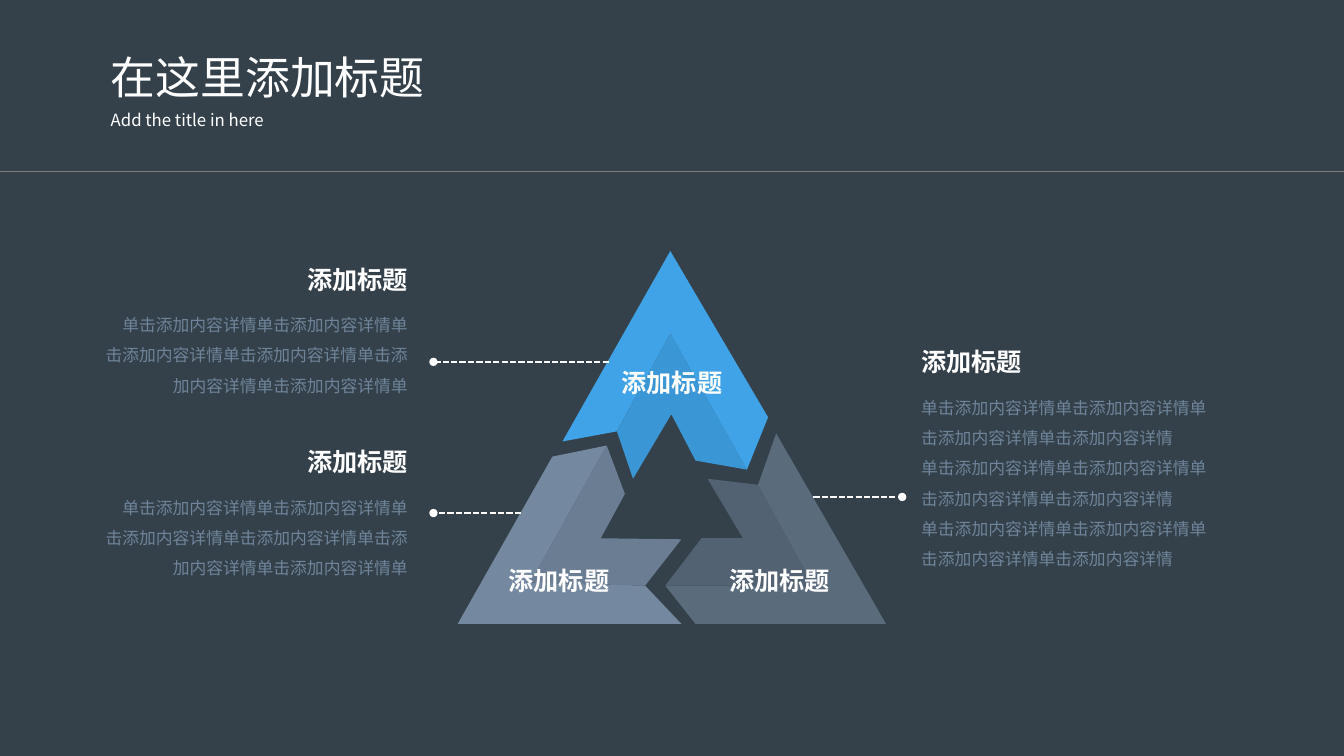
from dataclasses import dataclass

from pptx import Presentation
from pptx import util as u
from pptx.dml import color as dml
from pptx.enum import dml as dash
from pptx.enum import shapes, text
from pptx.oxml import ns, xmlchemy as xml

CELL = u.Inches(0.1)
COLS, ROWS = 133.33, 75
FONT = "Noto Sans CJK SC"
HEX = {"back": "34414A", "white": "FFFFFF", "rule": "808080", "body": "6F849A",
       "blue": "40A3E7", "blue fold": "3A96D5", "steel": "7488A0",
       "steel fold": "6B7D93", "slate": "5A6B7B", "slate fold": "526272"}
LEFT, RIGHT, MID = text.PP_ALIGN.LEFT, text.PP_ALIGN.RIGHT, text.PP_ALIGN.CENTER
HEAD = "添加标题"
HEADW, HEADH, BODYW, LINEH = 17.7, 4.0, 32.2, 3.03


@dataclass
class Style:
    size: int
    tint: str = "white"
    bold: bool = False
    align: text.PP_ALIGN = LEFT
    space: float = 1.0


@dataclass
class Note:
    edge: float
    top: float
    align: text.PP_ALIGN
    rows: int
    words: str


@dataclass
class Face:
    tint: str
    points: list[tuple[float, float]]


@dataclass
class Lead:
    start: float
    end: float
    row: float


LONG = "单击添加内容详情单击添加内容详情单"
SHORT = "击添加内容详情单击添加内容详情"
SIDE = LONG + "\n" + SHORT + "单击添加内容详情单击添加内容详情单"
NOTES = [
    Note(90.4, 33.9, LEFT, 6, "\n".join([LONG, SHORT] * 3)),
    Note(41.45, 25.7, RIGHT, 3, SIDE),
    Note(41.45, 43.8, RIGHT, 3, SIDE),
]
FACES = [
    Face("blue", [(66.5, 24.9), (55.8, 43.8), (61.2, 42.8), (66.5, 33.1),
                  (74.1, 46.6), (76.2, 41.4)]),
    Face("blue fold", [(66.6, 41.1), (62.8, 47.5), (61.2, 42.8), (66.5, 33.1),
                       (74.1, 46.6), (69.0, 45.7)]),
    Face("steel", [(60.2, 44.2), (52.6, 57.8), (64.0, 58.1), (67.6, 61.9),
                   (45.4, 61.9), (54.8, 45.3)]),
    Face("steel fold", [(59.6, 53.4), (62.0, 49.0), (60.2, 44.2), (52.6, 57.8),
                        (64.0, 58.1), (67.6, 53.5)]),
    Face("slate fold", [(73.7, 53.4), (69.6, 53.4), (66.0, 58.1), (80.7, 58.1),
                        (75.2, 48.1), (70.2, 47.5)]),
    Face("slate", [(87.9, 61.9), (77.0, 43.0), (75.2, 48.1), (80.7, 58.1),
                   (66.0, 58.1), (69.0, 61.9)]),
]
LEADS = [Lead(80.7, 89.5, 49.3), Lead(60.4, 43.0, 35.9), Lead(51.7, 43.0, 50.9)]
LABELS = [(57.8, 35.9), (46.6, 55.6), (68.5, 55.6)]


def emu(cells: float) -> int:
    return round(cells * CELL)


def rgb(tint: str) -> dml.RGBColor:
    return dml.RGBColor.from_string(HEX[tint])


def write(box, words: str, style: Style) -> None:
    frame = box.text_frame
    frame.text = words
    frame.word_wrap = True
    frame.vertical_anchor = text.MSO_ANCHOR.TOP
    frame.auto_size = text.MSO_AUTO_SIZE.SHAPE_TO_FIT_TEXT
    for para in frame.paragraphs:
        para.alignment = style.align
        para.line_spacing = style.space
        for run in para.runs:
            font = run.font
            font.size = u.Pt(style.size)
            font.bold = style.bold
            font.color.rgb = rgb(style.tint)
            font.name = FONT
            east = xml.OxmlElement("a:ea")
            east.set("typeface", FONT)
            font._element.find(ns.qn("a:latin")).addnext(east)


def place(slide, x: float, y: float, w: float, h: float, words: str, style: Style) -> None:
    box = slide.shapes.add_textbox(emu(x), emu(y), emu(w), emu(h))
    write(box, words, style)


def draw(slide, lead: Lead, tint: str, width: float):
    line = slide.shapes.add_connector(shapes.MSO_CONNECTOR.STRAIGHT, emu(lead.start),
                                      emu(lead.row), emu(lead.end), emu(lead.row))
    line.line.color.rgb = rgb(tint)
    line.line.width = u.Pt(width)
    line._element.spPr.append(xml.OxmlElement("a:effectLst"))
    return line


def dot(slide, lead: Lead) -> None:
    line = draw(slide, lead, "white", 1.5).line
    line.dash_style = dash.MSO_LINE.SQUARE_DOT
    tail = xml.OxmlElement("a:tailEnd")
    tail.set("type", "oval")
    line._get_or_add_ln().append(tail)


def fold(group, face: Face) -> None:
    first, *rest = [(emu(x), emu(y)) for x, y in face.points]
    pen = group.shapes.build_freeform(*first)
    pen.add_line_segments(rest, close=True)
    shape = pen.convert_to_shape()
    shape.shadow.inherit = False
    shape.fill.solid()
    shape.fill.fore_color.rgb = rgb(face.tint)
    shape.line.fill.background()


def note(slide, item: Note) -> None:
    shift = 1 if item.align == RIGHT else 0
    place(slide, item.edge - shift * BODYW, item.top + 4.05, BODYW,
          1 + item.rows * LINEH, item.words, Style(12, "body", False, item.align, 1.5))
    place(slide, item.edge - shift * HEADW, item.top, HEADW, HEADH, HEAD,
          Style(18, bold=True, align=item.align))


def main() -> None:
    deck = Presentation()
    deck.slide_width, deck.slide_height = emu(COLS), emu(ROWS)
    slide = deck.slides.add_slide(deck.slide_layouts.get_by_name("Title Only"))
    slide.background.fill.solid()
    slide.background.fill.fore_color.rgb = rgb("back")
    title = slide.shapes.title
    title.left, title.top, title.width, title.height = map(emu, (10, 4.4, 34.6, 6.4))
    write(title, "在这里添加标题", Style(32))
    place(slide, 10, 10.4, 34.6, 3, "Add the title in here", Style(12))
    draw(slide, Lead(0, COLS, 17), "rule", 0.75)
    group = slide.shapes.add_group_shape()
    for face in FACES:
        fold(group, face)
    for item in NOTES:
        note(slide, item)
    for lead in LEADS:
        dot(slide, lead)
    for x, y in LABELS:
        place(slide, x, y, HEADW, HEADH, HEAD, Style(18, bold=True, align=MID))
    deck.save("out.pptx")


if __name__ == "__main__":
    main()
